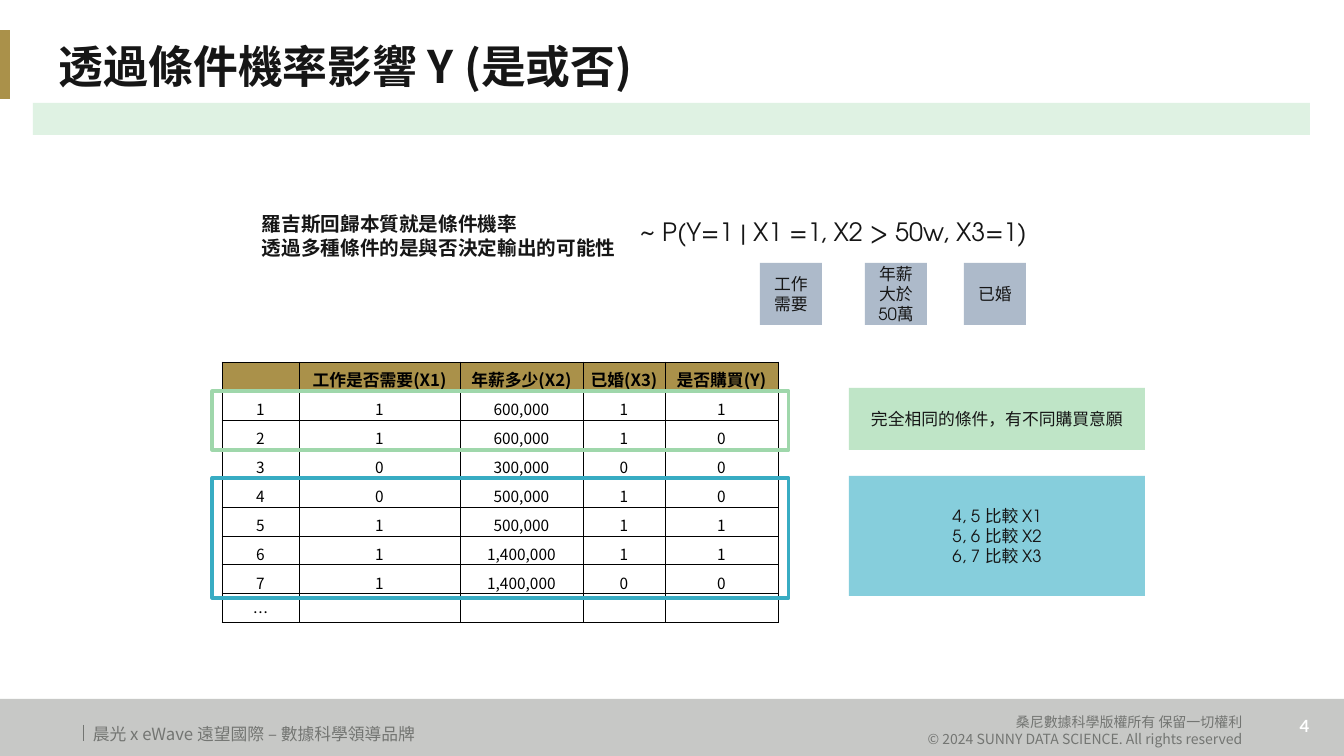
import pptx
import pptx.dml.color
import pptx.enum.shapes
import pptx.enum.text
import pptx.oxml
import pptx.oxml.ns
import pptx.util
from lxml import etree

EMU_PER_PX = 914400 / 100.8
NOTO = "Noto Sans CJK SC"
ADVENTOR = "TeX Gyre Adventor"
INK, GREY, GOLD, SLATE = "161616", "737572", "AA914A", "ADBACA"
ALIGN = pptx.enum.text.PP_ALIGN
ANCHOR = pptx.enum.text.MSO_ANCHOR

HEADERS = ["", "工作是否需要(X1)", "年薪多少(X2)", "已婚(X3)", "是否購買(Y)"]
CUSTOMERS = [
    ["1", "1", "600,000", "1", "1"],
    ["2", "1", "600,000", "1", "0"],
    ["3", "0", "300,000", "0", "0"],
    ["4", "0", "500,000", "1", "0"],
    ["5", "1", "500,000", "1", "1"],
    ["6", "1", "1,400,000", "1", "1"],
    ["7", "1", "1,400,000", "0", "0"],
    ["…", "", "", "", ""],
]
COLUMN_WIDTHS = [77, 161, 123, 82, 113]
ROW_HEIGHT = 29


def px(length):
    return pptx.util.Emu(round(length * EMU_PER_PX))


def color(hex_code):
    return pptx.dml.color.RGBColor.from_string(hex_code)


def write(frame, lines, size, font=NOTO, ink=INK, bold=False, align=ALIGN.LEFT):
    """Fill a text frame with one evenly styled paragraph per line."""
    for index, line in enumerate(lines):
        paragraph = frame.paragraphs[0] if index == 0 else frame.add_paragraph()
        paragraph.text = line
        paragraph.alignment = align
        paragraph.font.size = pptx.util.Pt(size)
        paragraph.font.bold = bold
        paragraph.font.color.rgb = color(ink)
        paragraph.font.name = font
        # Chinese characters take the East Asian typeface
        defaults = paragraph._p.pPr.find(pptx.oxml.ns.qn("a:defRPr"))
        etree.SubElement(defaults, pptx.oxml.ns.qn("a:ea"), typeface=NOTO)
        if not line:
            end = etree.SubElement(paragraph._p, pptx.oxml.ns.qn("a:endParaRPr"))
            end.set("sz", str(size * 100))


def add_text(slide, box, lines, size, wrap=True, grow=True, **style):
    frame = slide.shapes.add_textbox(*map(px, box)).text_frame
    frame.word_wrap = wrap
    if grow:
        frame.auto_size = pptx.enum.text.MSO_AUTO_SIZE.SHAPE_TO_FIT_TEXT
    write(frame, lines, size, **style)
    return frame


def add_block(slide, box, fill=None, outline=None, lines=()):
    """Rectangle with a fill or an outline, and centred text if given."""
    block = slide.shapes.add_shape(
        pptx.enum.shapes.MSO_SHAPE.RECTANGLE, *map(px, box))
    block.shadow.inherit = False
    if fill:
        block.fill.solid()
        block.fill.fore_color.rgb = color(fill)
    else:
        block.fill.background()
    if outline:
        block.line.color.rgb = color(outline)
        block.line.width = pptx.util.Pt(2.25)
    else:
        block.line.fill.background()
    if lines:
        block.text_frame.vertical_anchor = ANCHOR.MIDDLE
        write(block.text_frame, lines, 12, font=ADVENTOR, align=ALIGN.CENTER)


def add_divider(slide, x, top, bottom):
    divider = slide.shapes.add_connector(
        pptx.enum.shapes.MSO_CONNECTOR.STRAIGHT, px(x), px(top), px(x), px(bottom))
    divider.line.color.rgb = color(GREY)
    divider.line.width = pptx.util.Pt(0.5)
    etree.SubElement(divider._element.spPr, pptx.oxml.ns.qn("a:effectLst"))


def border_cell(cell):
    properties = cell._tc.get_or_add_tcPr()
    for side in ("lnL", "lnR", "lnT", "lnB"):
        properties.append(pptx.oxml.parse_xml(
            f'<a:{side} {pptx.oxml.ns.nsdecls("a")} w="6350"><a:solidFill>'
            f'<a:srgbClr val="000000"/></a:solidFill></a:{side}>'))


def add_customer_table(slide, left, top):
    rows = [HEADERS] + CUSTOMERS
    table = slide.shapes.add_table(
        len(rows), len(HEADERS), px(left), px(top),
        px(sum(COLUMN_WIDTHS)), px(ROW_HEIGHT * len(rows))).table
    table.first_row = table.horz_banding = False
    for column, width in zip(table.columns, COLUMN_WIDTHS):
        column.width = px(width)
    for r, values in enumerate(rows):
        table.rows[r].height = px(ROW_HEIGHT)
        is_header = r == 0
        for c, value in enumerate(values):
            cell = table.cell(r, c)
            cell.margin_left = cell.margin_right = cell.margin_top = px(1)
            cell.margin_bottom = 0
            cell.vertical_anchor = ANCHOR.BOTTOM
            border_cell(cell)
            if is_header:
                cell.fill.solid()
                cell.fill.fore_color.rgb = color(GOLD)
            else:
                cell.fill.background()
            write(cell.text_frame, [value], 12 if is_header else 11,
                  ink="000000", bold=is_header, align=ALIGN.CENTER)


def main():
    deck = pptx.Presentation()
    deck.slide_width, deck.slide_height = px(1344), px(756)
    slide = deck.slides.add_slide(deck.slide_layouts[6])

    # Footer
    add_block(slide, (0, 699, 1344, 57), fill="C7C8C6")
    add_divider(slide, 83, 725, 741)
    add_text(slide, (1285, 711, 39, 30), ["4"], 12, wrap=False, font="Lato",
             ink="FFFFFF", bold=True, align=ALIGN.CENTER)
    add_text(slide, (774, 709, 478, 44),
             ["桑尼數據科學版權所有 保留一切權利",
              "© 2024 SUNNY DATA SCIENCE. All rights reserved"],
             10, ink=GREY, align=ALIGN.RIGHT)
    add_text(slide, (83, 719, 478, 30),
             ["晨光 x eWave 遠望國際 – 數據科學領導品牌"], 12, ink=GREY)

    # Title
    add_block(slide, (-3, 30, 13, 69), fill=GOLD)
    title = add_text(slide, (49, 26, 1252, 86), ["透過條件機率影響 Y (是或否)"],
                     32, grow=False, bold=True)
    title.vertical_anchor = ANCHOR.MIDDLE
    title.paragraphs[0].line_spacing = 0.9
    add_block(slide, (33, 103, 1277, 32), fill="DFF2E3")

    # Customer table, with the compared rows framed and explained
    add_customer_table(slide, 222, 362)
    add_block(slide, (212, 391, 577, 59), outline="9FD7AB")
    add_block(slide, (212, 478, 577, 120), outline="38ACC3")
    add_block(slide, (849, 388, 296, 62), fill="BFE5C7",
              lines=["完全相同的條件，有不同購買意願"])
    add_block(slide, (849, 476, 296, 120), fill="86CEDC",
              lines=[f"{n}, {n + 1} 比較 X{n - 3}" for n in (4, 5, 6)])

    # Conditional probability and its conditions
    add_text(slide, (252, 207, 377, 57),
             ["羅吉斯回歸本質就是條件機率", "透過多種條件的是與否決定輸出的可能性"],
             14, wrap=False, font=ADVENTOR, bold=True)
    add_text(slide, (630, 211, 414, 40), ["~ P(Y=1 | X1 =1, X2 > 50w, X3=1)"],
             18, wrap=False, font=ADVENTOR)
    for left, condition in ((760, "工作需要"), (865, "年薪大於50萬"), (964, "已婚")):
        add_block(slide, (left, 263, 62, 62), fill=SLATE, lines=[condition])

    deck.save("out.pptx")


if __name__ == "__main__":
    main()
